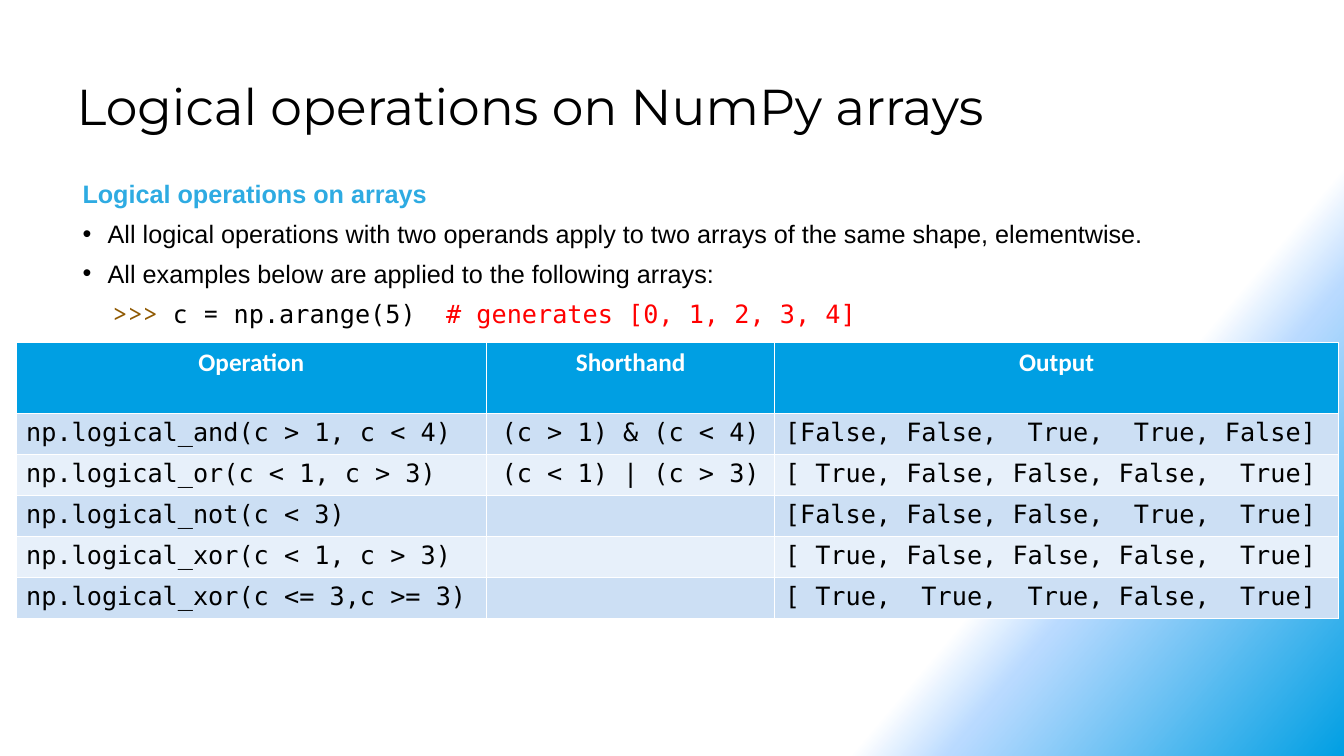
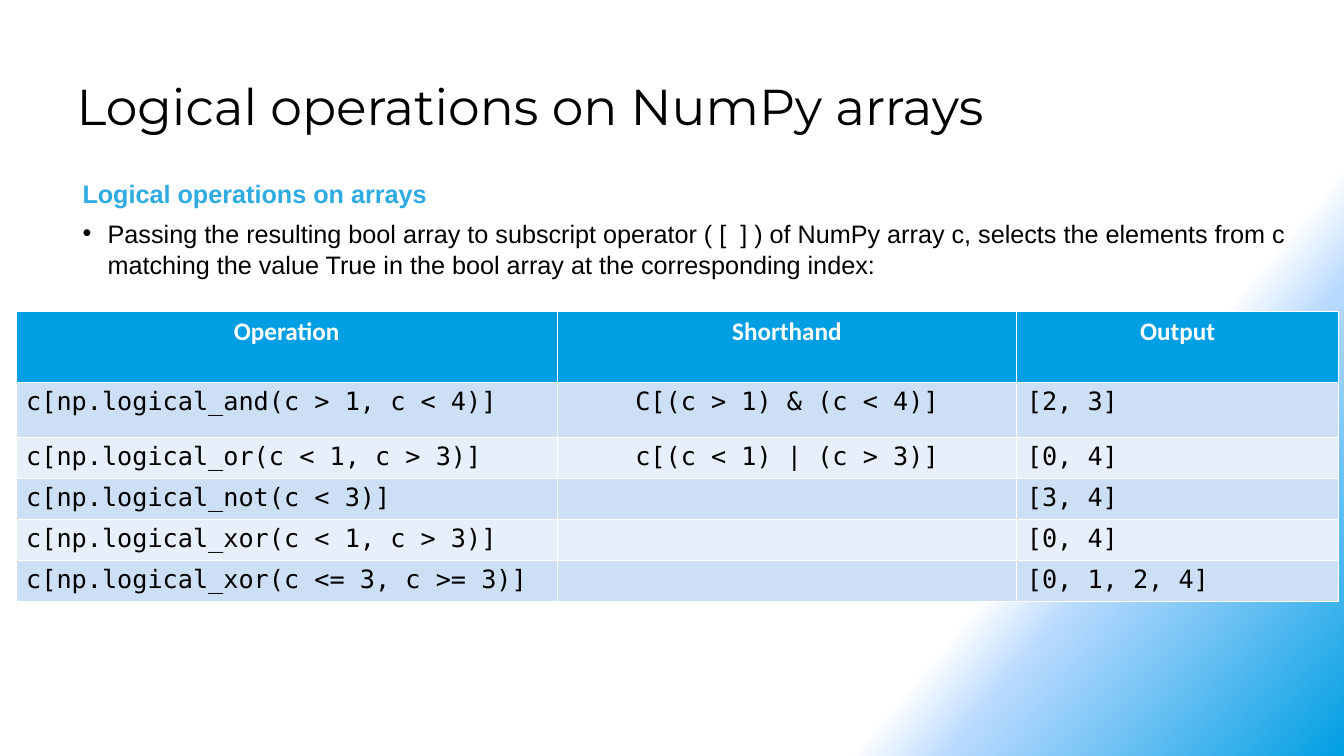
from dataclasses import dataclass

from lxml.etree import SubElement
from pptx import Presentation
from pptx.dml.color import RGBColor
from pptx.enum.text import MSO_ANCHOR, PP_ALIGN
from pptx.oxml.ns import qn
from pptx.util import Pt


@dataclass(frozen=True)
class Theme:
    black: str = "000000"
    white: str = "FFFFFF"
    blue: str = "009FE3"
    heading: str = "2EABE2"
    prompt: str = "8F5902"
    comment: str = "FF0000"
    bands: tuple = ("CCDFF4", "E7F0FA")
    # position %, colour, opacity %
    backdrop: tuple = ((75, "FFFFFF", 100), (80, "B9DAFF", 50), (100, "009FE3", 100))
    backdrop_angle: int = 40
    title_font: str = "Montserrat"
    body_font: str = "Arial"
    header_font: str = "Calibri"
    code_font: str = "DejaVu Sans Mono"
    prompt_font: str = "Noto Sans Mono"
    title_size: int = 36
    text_size: int = 18


THEME = Theme()
TITLE = "Logical operations on NumPy arrays"
HEADING = "Logical operations on arrays"
HEADERS = ("Operation", "Shorthand", "Output")

# All boxes are left, top, width, height in points
TITLE_BOX = (47.5, 48.25, 866, 60)
TABLE_LEFT = 11.5
HEADER_HEIGHT = 50.6
ROW_HEIGHT = 29.25


def style(font, name, color, size=THEME.text_size, bold=False):
    font.name, font.size, font.bold = name, Pt(size), bold
    font.color.rgb = RGBColor.from_string(color)


def paint_backdrop(master):
    """Give every slide the diagonal gradient by way of the master."""
    fill = master.background.fill
    fill.gradient()
    fill.gradient_angle = 360 - THEME.backdrop_angle
    stops = next(master.element.iter(qn("a:gsLst")))
    for stop in list(stops):
        stops.remove(stop)
    for position, color, opacity in THEME.backdrop:
        stop = SubElement(stops, qn("a:gs"), pos=str(position * 1000))
        shade = SubElement(stop, qn("a:srgbClr"), val=color)
        if opacity < 100:
            SubElement(shade, qn("a:alpha"), val=str(opacity * 1000))


def place_title(page, box):
    title = page.shapes.title
    title.left, title.top, title.width, title.height = map(Pt, box)
    frame = title.text_frame
    frame.text = TITLE
    frame.vertical_anchor = MSO_ANCHOR.MIDDLE
    para = frame.paragraphs[0]
    para.alignment = PP_ALIGN.LEFT
    para.line_spacing = 0.9
    style(para.font, THEME.title_font, THEME.black, THEME.title_size)


def set_bullet(para, indent=18):
    properties = para._p.get_or_add_pPr()
    properties.set("marL", str(Pt(indent)))
    properties.set("indent", str(-Pt(indent)))
    SubElement(properties, qn("a:buFont"), typeface=THEME.body_font)
    SubElement(properties, qn("a:buChar"), char="•")


def place_text(page, box, bullets, code=()):
    """Heading, bullets and an optional code line of (text, font, colour) spans."""
    frame = page.shapes.add_textbox(*map(Pt, box)).text_frame
    frame.word_wrap = True

    def next_paragraph():
        para = frame.add_paragraph()
        para.space_after = Pt(6)
        para.line_spacing = 1.04
        return para

    heading = frame.paragraphs[0]
    heading.text = HEADING
    heading.space_after = Pt(6)
    heading.line_spacing = 1.04
    style(heading.font, THEME.body_font, THEME.heading, bold=True)
    for text in bullets:
        para = next_paragraph()
        para.text = text
        set_bullet(para)
        style(para.font, THEME.body_font, THEME.black)
    if code:
        para = next_paragraph()
        for text, font, color in code:
            span = para.add_run()
            span.text = text
            style(span.font, font, color)


def fill_cell(cell, text, fill, font, color, centred, bold=False):
    cell.fill.solid()
    cell.fill.fore_color.rgb = RGBColor.from_string(fill)
    cell.text = text
    para = cell.text_frame.paragraphs[0]
    para.alignment = PP_ALIGN.CENTER if centred else PP_ALIGN.LEFT
    style(para.font, font, color, bold=bold)


def place_table(page, left, top, widths, rows, first_row_height=ROW_HEIGHT):
    heights = [HEADER_HEIGHT, first_row_height] + [ROW_HEIGHT] * (len(rows) - 1)
    table = page.shapes.add_table(
        len(heights), len(widths), Pt(left), Pt(top), Pt(sum(widths)), Pt(sum(heights))
    ).table
    for column, width in zip(table.columns, widths):
        column.width = Pt(width)
    for row, height in zip(table.rows, heights):
        row.height = Pt(height)
    for column, text in enumerate(HEADERS):
        fill_cell(table.cell(0, column), text, THEME.blue, THEME.header_font,
                  THEME.white, centred=True, bold=True)
    for index, row in enumerate(rows):
        band = THEME.bands[index % len(THEME.bands)]
        for column, text in enumerate(row):
            fill_cell(table.cell(index + 1, column), text, band, THEME.code_font,
                      THEME.black, centred=HEADERS[column] == "Shorthand")


def add_page(deck):
    page = deck.slides.add_slide(deck.slide_layouts.get_by_name("Title Only"))
    place_title(page, TITLE_BOX)
    return page


def add_operations_page(deck):
    page = add_page(deck)
    place_text(
        page, (51.85, 123, 888, 120),
        ("All logical operations with two operands apply to two arrays of the same shape, elementwise.",
         "All examples below are applied to the following arrays:"),
        (("  >>> ", THEME.prompt_font, THEME.prompt),
         ("c = ", THEME.prompt_font, THEME.black),
         ("np.arange(5)  ", THEME.code_font, THEME.black),
         ("# generates [0, 1, 2, 3, 4]", THEME.code_font, THEME.comment)),
    )
    place_table(page, TABLE_LEFT, 244.8, (336, 206, 402.5), (
        ("np.logical_and(c > 1, c < 4)", "(c > 1) & (c < 4)", "[False, False,  True,  True, False]"),
        ("np.logical_or(c < 1, c > 3)", "(c < 1) | (c > 3)", "[ True, False, False, False,  True]"),
        ("np.logical_not(c < 3)", "", "[False, False, False,  True,  True]"),
        ("np.logical_xor(c < 1, c > 3)", "", "[ True, False, False, False,  True]"),
        ("np.logical_xor(c <= 3,c >= 3)", "", "[ True,  True,  True, False,  True]"),
    ))


def add_selection_page(deck):
    page = add_page(deck)
    place_text(
        page, (51.85, 123, 888, 89),
        ("Passing the resulting bool array to subscript operator ( [  ] ) of NumPy array c, "
         "selects the elements from c matching the value True in the bool array "
         "at the corresponding index:",),
    )
    place_table(page, TABLE_LEFT, 222.5, (386.5, 328.3, 229.7), (
        ("c[np.logical_and(c > 1, c < 4)]", "C[(c > 1) & (c < 4)]", "[2, 3]"),
        ("c[np.logical_or(c < 1, c > 3)]", "c[(c < 1) | (c > 3)]", "[0, 4]"),
        ("c[np.logical_not(c < 3)]", "", "[3, 4]"),
        ("c[np.logical_xor(c < 1, c > 3)]", "", "[0, 4]"),
        ("c[np.logical_xor(c <= 3, c >= 3)]", "", "[0, 1, 2, 4]"),
    ), first_row_height=39.4)


def main():
    deck = Presentation()
    deck.slide_width, deck.slide_height = Pt(960), Pt(540)
    paint_backdrop(deck.slide_master)
    add_operations_page(deck)
    add_selection_page(deck)
    deck.save("out.pptx")


if __name__ == "__main__":
    main()
